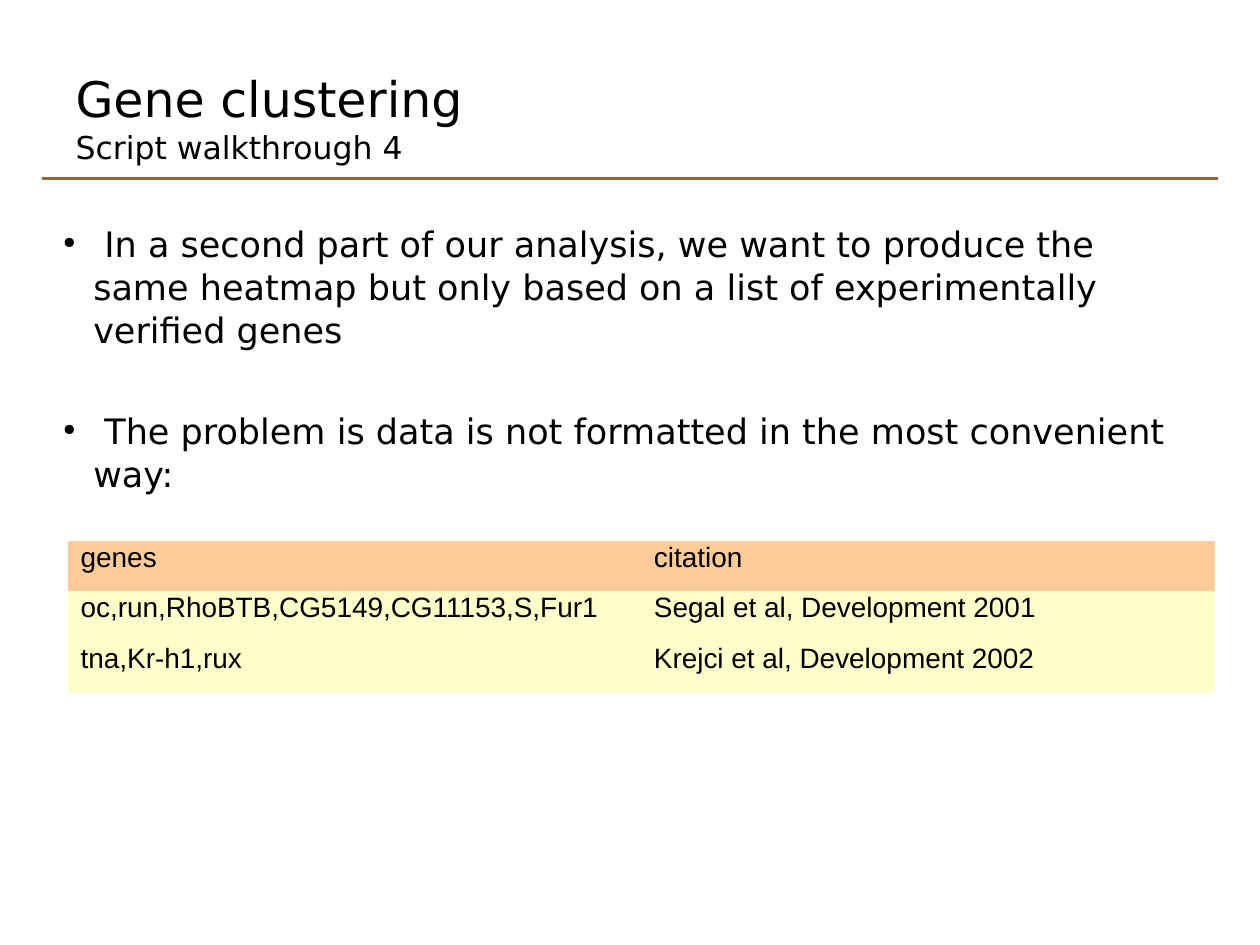
from lxml import etree
from pptx import Presentation
from pptx.dml.color import RGBColor
from pptx.enum.shapes import MSO_CONNECTOR
from pptx.enum.text import MSO_ANCHOR, MSO_AUTO_SIZE, PP_ALIGN
from pptx.oxml.ns import qn
from pptx.util import Inches, Pt

STRAIGHT = MSO_CONNECTOR.STRAIGHT
MIDDLE, TOP = MSO_ANCHOR.MIDDLE, MSO_ANCHOR.TOP
NO_AUTOFIT = MSO_AUTO_SIZE.NONE
LEFT = PP_ALIGN.LEFT

COLORS = {"text": "000000", "rule": "996633", "header": "FFCC99", "body": "FFFFCC"}
HEADING_FONT, TABLE_FONT = "DejaVu Sans", "Arial"
PLAIN_TABLE_STYLE = "{2D5ABB26-0587-4C30-8999-92F81FD0307C}"
BULLET_INDENT = Inches(0.24)

TITLE_LINES = [("Gene clustering", 28), ("Script walkthrough 4", 18)]
# Each bullet with its space before, in points
BULLETS = [
    (" In a second part of our analysis, we want to produce the same heatmap "
     "but only based on a list of experimentally verified genes", 4.5),
    (" The problem is data is not formatted in the most convenient way:", 33.5),
]
GENE_ROWS = [
    ("genes", "citation"),
    ("oc,run,RhoBTB,CG5149,CG11153,S,Fur1", "Segal et al, Development 2001"),
    ("tna,Kr-h1,rux", "Krejci et al, Development 2002"),
]


def color(name):
    return RGBColor.from_string(COLORS[name])


def set_values(target, values):
    for name, value in values.items():
        setattr(target, name, value)


def add_text(paragraph, text, size, font_name):
    run = paragraph.add_run()
    run.text = text
    set_values(run.font, {"size": Pt(size), "name": font_name})
    run.font.color.rgb = color("text")


def add_bullet(paragraph):
    properties = paragraph._p.get_or_add_pPr()
    properties.set("marL", str(BULLET_INDENT))
    properties.set("indent", str(-BULLET_INDENT))
    bullet_color = etree.SubElement(properties, qn("a:buClr"))
    etree.SubElement(bullet_color, qn("a:srgbClr"), val=COLORS["text"])
    etree.SubElement(properties, qn("a:buSzPct"), val="45000")
    etree.SubElement(properties, qn("a:buChar"), char="●")


def add_title(slide):
    title = slide.shapes.title
    set_values(title, {"left": Inches(0.5), "top": Inches(0.3),
                       "width": Inches(8.99), "height": Inches(1.25)})
    set_values(title.text_frame, {"vertical_anchor": MIDDLE, "word_wrap": True,
                                  "auto_size": NO_AUTOFIT})
    paragraph = title.text_frame.paragraphs[0]
    set_values(paragraph, {"alignment": LEFT, "line_spacing": 1.02,
                           "space_before": Pt(0)})
    for index, (text, size) in enumerate(TITLE_LINES):
        if index:
            paragraph.add_line_break()
        add_text(paragraph, text, size, HEADING_FONT)


def add_rule(slide):
    rule = slide.shapes.add_connector(
        STRAIGHT, Inches(0.33), Inches(1.42), Inches(9.67), Inches(1.42))
    rule.line.color.rgb = color("rule")
    rule.line.width = Pt(1.75)
    etree.SubElement(rule._element.spPr, qn("a:effectLst"))


def add_bullets(slide):
    box = slide.shapes.add_textbox(
        Inches(0.5), Inches(1.76), Inches(8.99), Inches(4.94))
    frame = box.text_frame
    set_values(frame, {"word_wrap": True, "vertical_anchor": TOP,
                       "margin_left": 0, "margin_right": 0,
                       "margin_top": 0, "margin_bottom": 0})
    for index, (text, space_before) in enumerate(BULLETS):
        paragraph = frame.add_paragraph() if index else frame.paragraphs[0]
        set_values(paragraph, {"alignment": LEFT, "line_spacing": 1.02,
                               "space_before": Pt(space_before)})
        add_bullet(paragraph)
        add_text(paragraph, text, 20, HEADING_FONT)


def add_gene_table(slide):
    table = slide.shapes.add_table(
        len(GENE_ROWS), len(GENE_ROWS[0]),
        Inches(0.54), Inches(4.29), Inches(9.1), Inches(1.21)).table
    set_values(table, {"first_row": False, "horz_banding": False})
    table._tbl.tblPr.find(qn("a:tableStyleId")).text = PLAIN_TABLE_STYLE
    for row_index, row in enumerate(GENE_ROWS):
        for column_index, text in enumerate(row):
            cell = table.cell(row_index, column_index)
            cell.fill.solid()
            cell.fill.fore_color.rgb = color("body" if row_index else "header")
            paragraph = cell.text_frame.paragraphs[0]
            paragraph.line_spacing = 0.81
            add_text(paragraph, text, 16, TABLE_FONT)


def main():
    presentation = Presentation()
    set_values(presentation, {"slide_width": Inches(10), "slide_height": Inches(7.5)})
    slide = presentation.slides.add_slide(presentation.slide_layouts[5])
    add_rule(slide)
    add_bullets(slide)
    add_title(slide)
    add_gene_table(slide)
    presentation.save("out.pptx")


if __name__ == "__main__":
    main()
